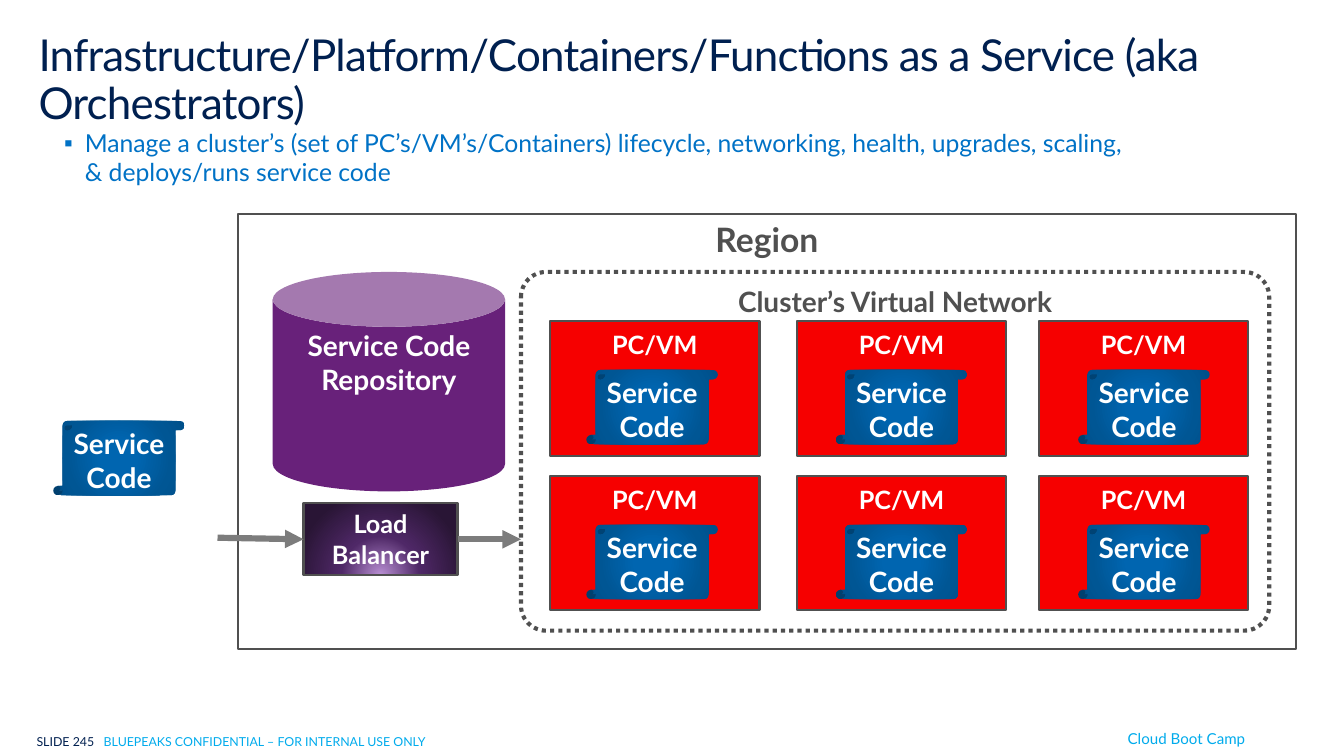
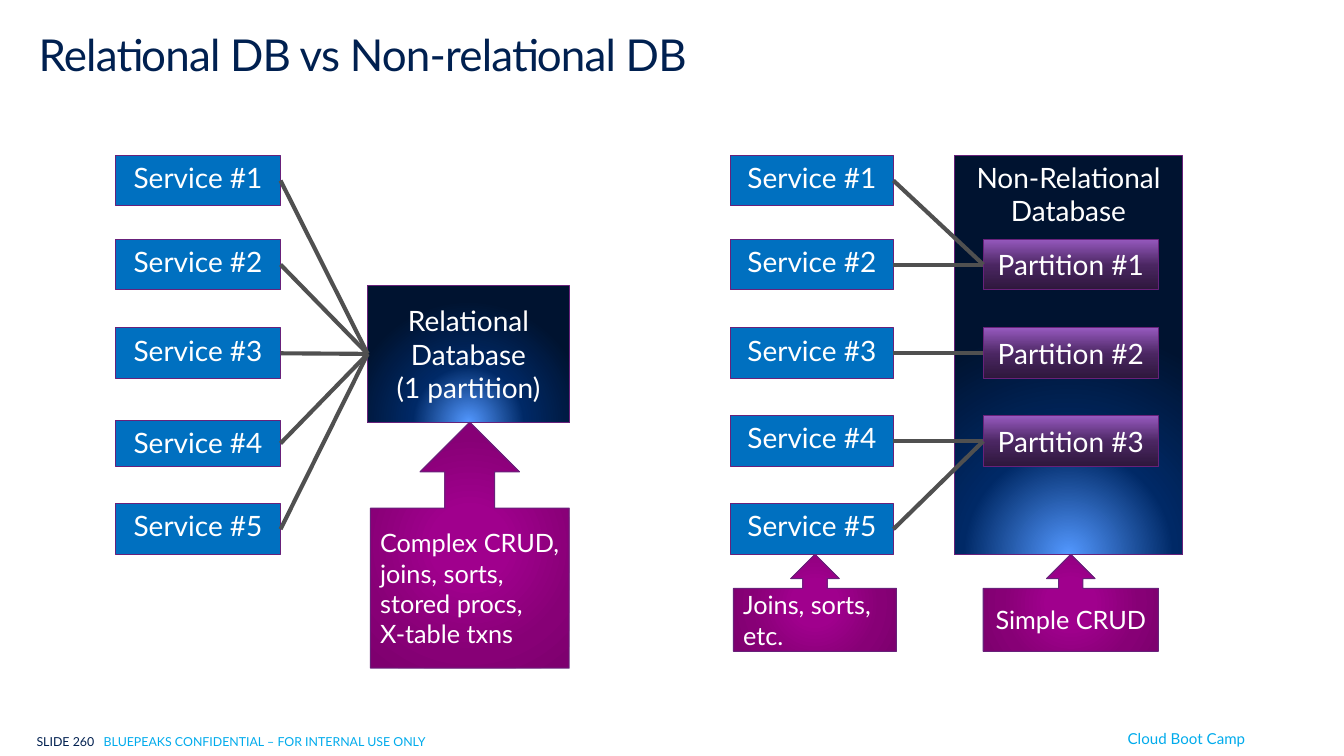
from lxml.etree import SubElement
from pptx import Presentation
from pptx.dml.color import RGBColor
from pptx.enum.dml import MSO_LINE
from pptx.enum.shapes import MSO_CONNECTOR, MSO_SHAPE
from pptx.enum.text import MSO_ANCHOR, MSO_AUTO_SIZE, PP_ALIGN
from pptx.oxml.ns import qn
from pptx.util import Cm, Pt

# Colours
NAVY = RGBColor(0x00, 0x20, 0x50)
CYAN = RGBColor(0x00, 0xAB, 0xEC)
BULLET_BLUE = RGBColor(0x00, 0x72, 0xC6)
SERVICE_BLUE = RGBColor(0x00, 0x70, 0xC0)
PURPLE = RGBColor(0x68, 0x21, 0x7A)
RED = RGBColor(0xF6, 0x00, 0x00)
DARK_GREY = RGBColor(0x50, 0x50, 0x50)
ARROW_GREY = RGBColor(0x7C, 0x7C, 0x7C)
WHITE = RGBColor(0xFF, 0xFF, 0xFF)


def stops(*pairs):
    return [(percent, RGBColor.from_string(code)) for percent, code in pairs]


# Gradients: colour stops, then the focus (left, top, right, bottom) or None for upward
CENTRE = (50, 50, 50, 50)
BELOW = (50, 130, 50, -30)
VIOLET_GLOW = (stops((0, "B990D3"), (46, "4F2867"), (100, "291535")), BELOW)
BLUE_GLOW = (stops((0, "5398FF"), (46, "002966"), (100, "001330")), BELOW)
SCROLL_BLUE = (stops((0, "0065B0"), (23, "0065B0"), (69, "005694"), (97, "00508B")), CENTRE)
MAGENTA = (stops((0, "A0008D"), (23, "A0008D"), (69, "870076"), (97, "7E006F")), CENTRE)
PARTITION_VIOLET = (stops((0, "2E173C"), (48, "4A2661"), (100, "9659BE")), None)

# Insets in cm: left, top, right, bottom
STANDARD = (0.25, 0.13, 0.25, 0.13)
NARROW = (0.13, 0.13, 0.13, 0.13)
NO_SIDES = (0, 0.13, 0, 0.13)

TOP, MIDDLE = MSO_ANCHOR.TOP, MSO_ANCHOR.MIDDLE
LEFT, CENTER = PP_ALIGN.LEFT, PP_ALIGN.CENTER
LEFT_SIDE, RIGHT_SIDE = 1, 3


class Builder:
    """Holds the shared style and the current slide; positions are in cm."""

    font_name = "Lato"

    def __init__(self):
        self.deck = Presentation()
        self.deck.slide_width, self.deck.slide_height = Cm(34.54), Cm(19.43)
        self.page = None

    def new_page(self, layout, title, number):
        self.page = self.deck.slides.add_slide(self.deck.slide_layouts[layout])
        self.title(title)
        self.footer(number)

    def style(self, paragraph, size, color, bold=False, align=LEFT):
        paragraph.alignment = align
        font = paragraph.font
        font.name, font.size, font.bold = self.font_name, Pt(size), bold
        font.color.rgb = color

    def place(self, box, at, insets=STANDARD, anchor=TOP):
        box.left, box.top, box.width, box.height = (Cm(length) for length in at)
        frame = box.text_frame
        frame.word_wrap = True
        frame.auto_size = MSO_AUTO_SIZE.NONE
        frame.vertical_anchor = anchor
        (frame.margin_left, frame.margin_top,
         frame.margin_right, frame.margin_bottom) = (Cm(inset) for inset in insets)
        return frame.paragraphs[0]

    def title(self, text):
        paragraph = self.place(self.page.shapes.title, (0.99, 0.74, 33.3, 1.55),
                               (0, 0.13, 0.25, 0.13))
        paragraph.text = text
        paragraph.line_spacing = 0.9
        self.style(paragraph, 32, NAVY)
        paragraph._p.pPr.find(qn("a:defRPr")).set("spc", "-60")

    def footer(self, number):
        box = self.page.shapes.add_textbox(0, 0, 0, 0)
        paragraph = self.place(box, (0.94, 18.49, 17.42, 0.84), (0, 0.41, 0.51, 0.41))
        paragraph.line_spacing = 0.9
        self.style(paragraph, 9, NAVY)
        for text, color in ((f"SLIDE {number}   ", NAVY),
                            ("BLUEPEAKS CONFIDENTIAL – FOR INTERNAL USE ONLY", CYAN)):
            span = paragraph.add_run()
            span.text = text
            span.font.color.rgb = color
        box = self.page.shapes.add_textbox(0, 0, 0, 0)
        paragraph = self.place(box, (28.73, 18.49, 4.01, 0.93), (0.25,) * 4)
        paragraph.text = "Cloud Boot Camp"
        self.style(paragraph, 11, CYAN)

    def bullet(self, text, at):
        paragraph = self.place(self.page.placeholders[1], at)
        paragraph.text = text
        paragraph.space_before = Pt(0)
        properties = paragraph._p.get_or_add_pPr()
        properties.set("marL", str(Cm(0.53)))
        properties.set("indent", str(-Cm(0.53)))
        color = SubElement(properties, qn("a:buClr"))
        SubElement(color, qn("a:srgbClr"), val=str(BULLET_BLUE))
        SubElement(properties, qn("a:buChar"), char="▪")
        self.style(paragraph, 18, BULLET_BLUE)

    def gradient(self, shape, colors, focus):
        shape.fill.gradient()
        element = shape._element.spPr.find(qn("a:gradFill"))
        element.clear()
        element.set("rotWithShape", "1")
        stop_list = SubElement(element, qn("a:gsLst"))
        for percent, color in colors:
            stop = SubElement(stop_list, qn("a:gs"), pos=str(percent * 1000))
            SubElement(stop, qn("a:srgbClr"), val=str(color))
        if focus is None:
            SubElement(element, qn("a:lin"), ang=str(270 * 60000), scaled="0")
        else:
            circle = SubElement(element, qn("a:path"), path="circle")
            SubElement(circle, qn("a:fillToRect"),
                       {side: str(share * 1000) for side, share in zip("ltrb", focus)})

    def shape(self, kind, at, text, size=20.4, fill=None, line=None, width=0.75,
              color=WHITE, bold=False, align=CENTER, anchor=MIDDLE, insets=STANDARD):
        shape = self.page.shapes.add_shape(kind, 0, 0, 0, 0)
        shape.shadow.inherit = False
        if fill is None:
            shape.fill.background()
        elif isinstance(fill, RGBColor):
            shape.fill.solid()
            shape.fill.fore_color.rgb = fill
        else:
            self.gradient(shape, *fill)
        if line is None:
            shape.line.fill.background()
        else:
            shape.line.color.rgb = line
            shape.line.width = Pt(width)
        paragraph = self.place(shape, at, insets, anchor)
        paragraph.text = text
        self.style(paragraph, size, color, bold, align)
        return shape

    def line(self, start, end, color, width):
        line = self.page.shapes.add_connector(
            MSO_CONNECTOR.STRAIGHT, *(Cm(length) for length in start + end))
        line.line.color.rgb = color
        line.line.width = Pt(width)
        SubElement(line._element.spPr, qn("a:effectLst"))
        return line

    def arrow(self, start, end):
        arrow = self.line(start, end, ARROW_GREY, 4.5)
        SubElement(arrow.line._get_or_add_ln(), qn("a:tailEnd"), type="triangle")

    def link(self, source, target):
        link = self.line((0, 0), (0, 0), DARK_GREY, 3)
        link.begin_connect(source, RIGHT_SIDE)
        link.end_connect(target, LEFT_SIDE)

    # Recurring boxes
    def scroll(self, left, top):
        self.shape(MSO_SHAPE.VERTICAL_SCROLL, (left, top, 3.38, 1.91), "Service\nCode",
                   fill=SCROLL_BLUE, bold=True, insets=NO_SIDES)

    def machine(self, left, top):
        self.shape(MSO_SHAPE.RECTANGLE, (left, top, 5.38, 3.45), "PC/VM", 18.4, RED,
                   DARK_GREY, 1.5, bold=True, anchor=TOP, insets=(0.13, 0.2, 0.13, 0.13))

    def services(self, left, width, rows):
        return [self.shape(MSO_SHAPE.RECTANGLE, (left, top, width, height),
                           f"Service #{number}", fill=SERVICE_BLUE, line=PURPLE, anchor=TOP)
                for number, (top, height) in enumerate(rows, 1)]

    def callout(self, at, text, align=LEFT):
        self.shape(MSO_SHAPE.UP_ARROW_CALLOUT, at, text, 18.4, MAGENTA, PURPLE, align=align)


def orchestrators(builder):
    builder.new_page(1, "Infrastructure/Platform/Containers/Functions as a Service "
                        "(aka Orchestrators)", 245)
    builder.bullet("Manage a cluster’s (set of PC’s/VM’s/Containers) lifecycle, networking, "
                   "health, upgrades, scaling,\n& deploys/runs service code",
                   (1.4, 3.15, 29.64, 1.83))

    # Region with repository and load balancer
    builder.shape(MSO_SHAPE.RECTANGLE, (6.12, 5.49, 27.18, 11.2), "Region", 24.5,
                  line=DARK_GREY, width=1.5, color=DARK_GREY, bold=True, anchor=TOP,
                  insets=NARROW)
    builder.shape(MSO_SHAPE.CAN, (7.01, 6.99, 5.97, 5.64), "Service Code Repository",
                  fill=PURPLE, bold=True, anchor=TOP, insets=(0, 0.05, 0, 0.05))
    builder.shape(MSO_SHAPE.RECTANGLE, (7.8, 12.93, 3.96, 1.85), "Load Balancer", 18.4,
                  VIOLET_GLOW, DARK_GREY, 1.5, bold=True, insets=NARROW)
    builder.arrow((5.59, 13.82), (7.8, 13.86))
    builder.arrow((11.76, 13.86), (13.39, 13.86))

    # Cluster of machines, each running the service code
    network = builder.shape(MSO_SHAPE.ROUNDED_RECTANGLE, (13.39, 6.99, 19.23, 9.22),
                            "Cluster’s Virtual Network", line=DARK_GREY, width=3,
                            color=DARK_GREY, bold=True, anchor=TOP, insets=NO_SIDES)
    network.adjustments[0] = 0.07
    network.line.dash_style = MSO_LINE.ROUND_DOT
    for top in (8.26, 12.24):
        for left, scroll_left in ((14.14, 15.07), (20.48, 21.48), (26.7, 27.71)):
            builder.machine(left, top)
            builder.scroll(scroll_left, top + 1.25)
    builder.scroll(1.37, 10.82)


def databases(builder):
    builder.new_page(5, "Relational DB vs Non-relational DB", 260)
    rows = [(top, 1.3) for top in (3.99, 6.15, 8.43, 10.69, 12.95)]

    # Relational: every service uses one partition
    relational = builder.shape(MSO_SHAPE.RECTANGLE, (9.45, 7.34, 5.18, 3.51),
                               "Relational\nDatabase\n(1 partition)",
                               fill=BLUE_GLOW, line=PURPLE)
    for service in builder.services(2.97, 4.24, rows[:3] + [(10.8, 1.19)] + rows[4:]):
        builder.link(service, relational)
    builder.callout((9.52, 10.85, 5.11, 6.32),
                    "Complex CRUD,\njoins, sorts,\nstored procs,\nX-table txns")

    # Non-relational: services are spread over partitions
    builder.shape(MSO_SHAPE.RECTANGLE, (24.54, 3.99, 5.84, 10.26), "Non-Relational\nDatabase",
                  fill=BLUE_GLOW, line=PURPLE, anchor=TOP)
    partitions = [builder.shape(MSO_SHAPE.RECTANGLE, (25.27, top, 4.5, height),
                                f"Partition #{number}", fill=PARTITION_VIOLET, line=PURPLE)
                  for number, (top, height) in enumerate(rows[1:4], 1)]
    for service, index in zip(builder.services(18.77, 4.19, rows), (0, 0, 1, 2, 2)):
        builder.link(service, partitions[index])
    builder.callout((18.85, 14.25, 4.19, 2.49), "Joins, sorts,\netc.")
    builder.callout((25.27, 14.25, 4.5, 2.49), "Simple CRUD", CENTER)


def main():
    builder = Builder()
    orchestrators(builder)
    databases(builder)
    builder.deck.save("out.pptx")


if __name__ == "__main__":
    main()
